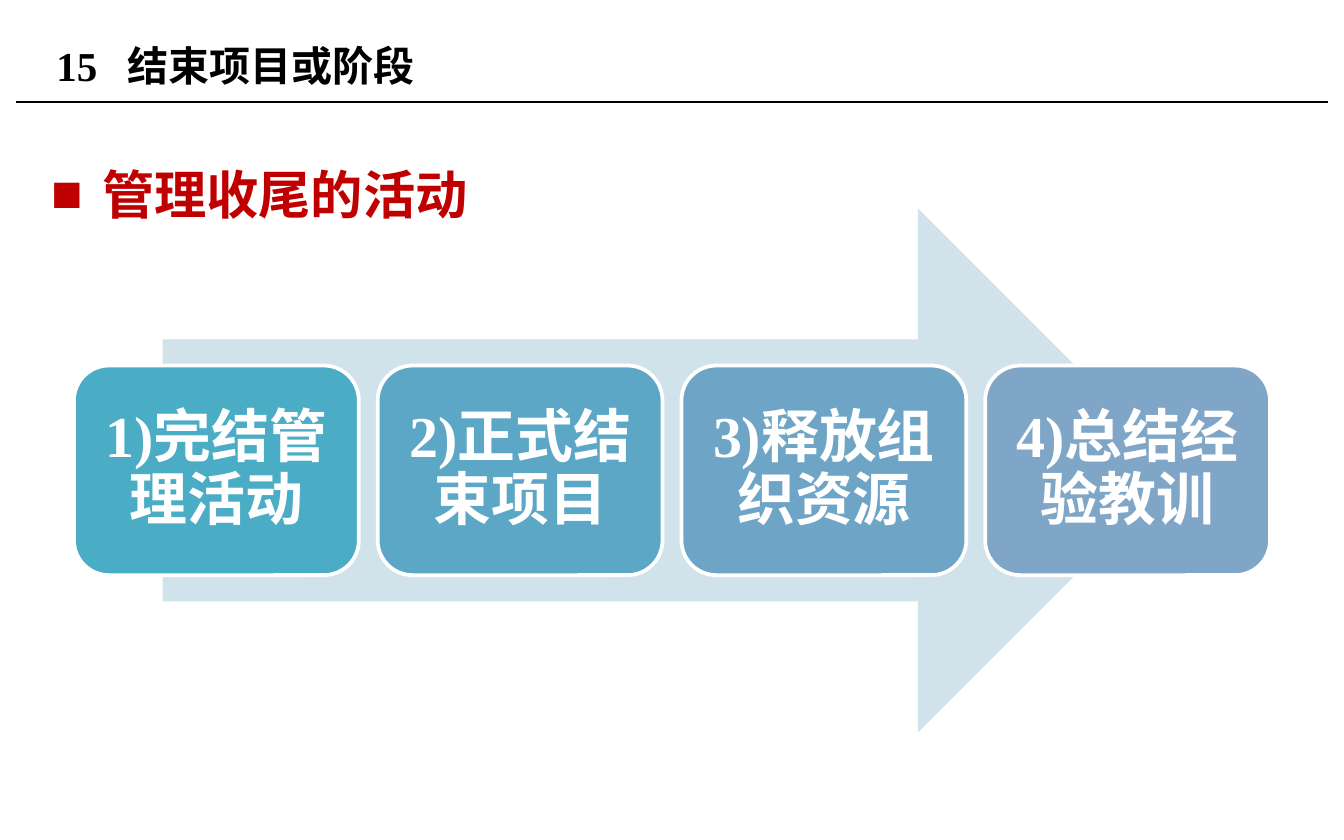
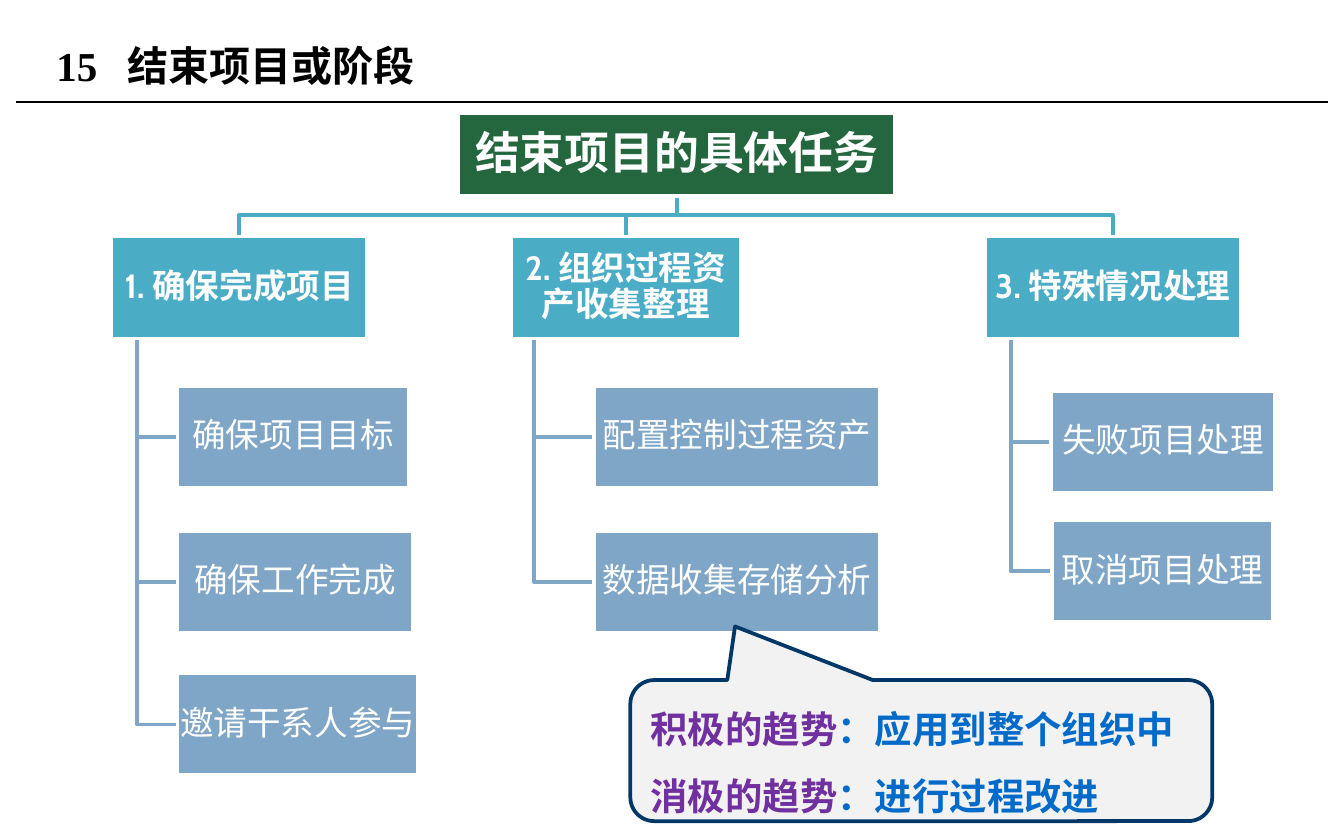
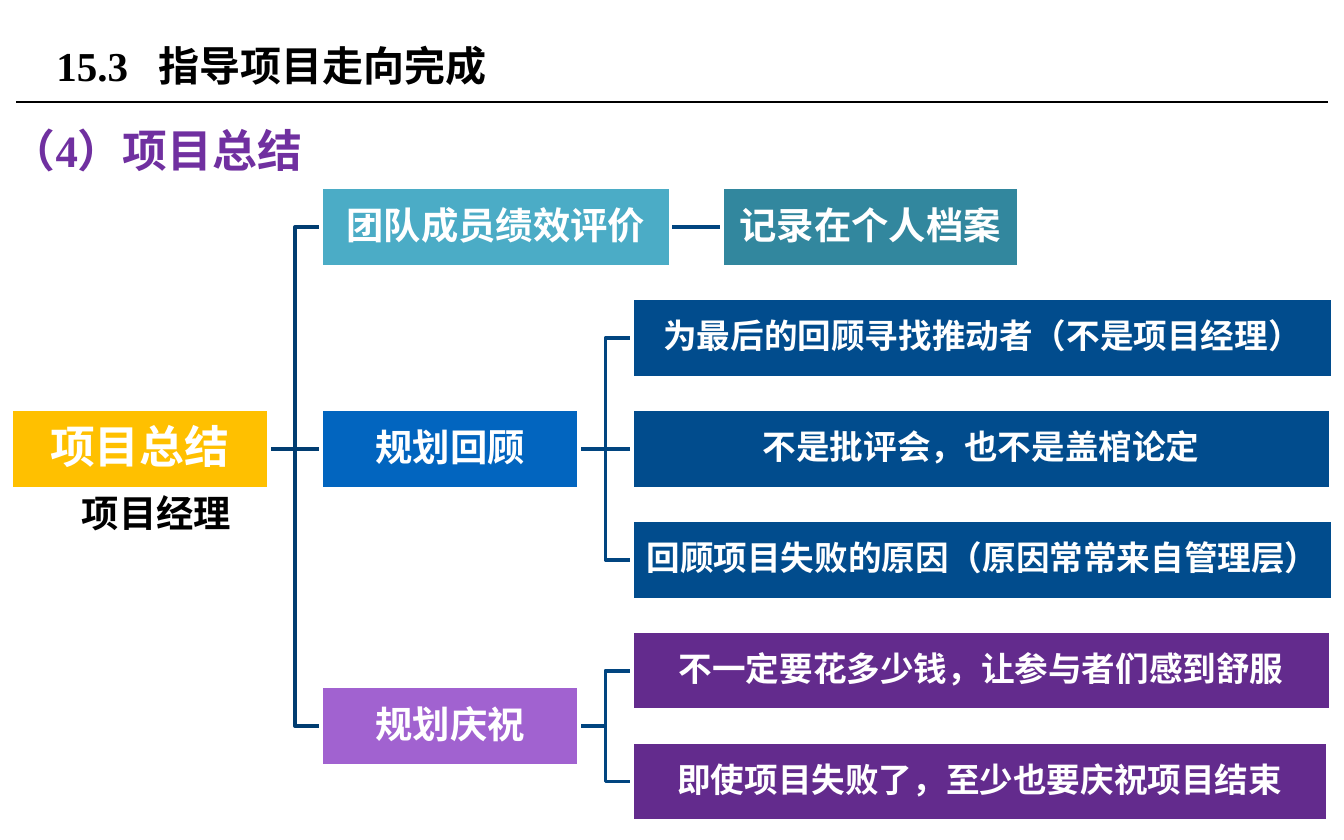
from dataclasses import dataclass
from typing import NamedTuple

from lxml.etree import SubElement
from pptx import Presentation
from pptx.dml.color import RGBColor
from pptx.enum.shapes import MSO_CONNECTOR, MSO_SHAPE
from pptx.enum.text import MSO_ANCHOR, MSO_AUTO_SIZE, PP_ALIGN
from pptx.oxml.ns import qn
from pptx.util import Inches, Pt

# Shared look
SLIDE_WIDTH, SLIDE_HEIGHT = Inches(10), Inches(6.25)
CELL = SLIDE_WIDTH / 100  # square grid: 100 columns by 62.5 rows
SERIF, SANS, CHINESE = "Times New Roman", "Cabin", "Noto Sans CJK SC"
WHITE, BLACK, RED, PURPLE = "FFFFFF", "000000", "C00000", "7030A0"
TEAL, STEEL, GREEN = "4BACC6", "7FA6C7", "24673E"
NAVY, OCEAN, VIOLET, BLUE = "013868", "014C8D", "632B8D", "026BCA"
ROOT_LINK, NODE_LINK = "013D71", "014580"
LINE_WIDTH = 2


class Area(NamedTuple):
    """A place on the grid, in columns and rows."""
    left: float
    top: float
    width: float
    height: float

    @property
    def center(self) -> float:
        return self.left + self.width / 2

    @property
    def middle(self) -> float:
        return self.top + self.height / 2

    @property
    def right(self) -> float:
        return self.left + self.width

    @property
    def bottom(self) -> float:
        return self.top + self.height


class Span(NamedTuple):
    text: str
    color: str
    font: str = SERIF


@dataclass
class Leaf:
    text: str
    area: Area


@dataclass
class Branch:
    text: str
    area: Area
    leaves: list[Leaf]


@dataclass
class Node:
    text: str
    left: float
    width: float
    row: float
    fill: str
    size: int = 18
    font: str = SERIF
    children: tuple["Node", ...] = ()

    @property
    def area(self) -> Area:
        return Area(self.left, 13.95 + 8.25 * self.row, self.width, 5.9)


# Drawing helpers
def grid(value: float) -> int:
    return round(value * CELL)


def place(area: Area) -> list[int]:
    return [grid(value) for value in area]


def paint(target, color: str) -> None:
    """Give a fill a solid colour."""
    target.solid()
    target.fore_color.rgb = RGBColor.from_string(color)


def stroke(line, color: str, width: float = LINE_WIDTH) -> None:
    paint(line.fill, color)
    line.width = Pt(width)


def write(frame, *lines, size, color=WHITE, font=SERIF, bold=True, align=PP_ALIGN.LEFT,
          spacing=1.0, anchor=MSO_ANCHOR.MIDDLE, inset=None, wrap=True,
          fit=MSO_AUTO_SIZE.NONE) -> None:
    """Fill a text frame; each line is a string or a list of spans."""
    frame.word_wrap, frame.auto_size, frame.vertical_anchor = wrap, fit, anchor
    if inset is not None:
        frame.margin_left = frame.margin_right = grid(inset)
        frame.margin_top = frame.margin_bottom = grid(inset)
    for index, line in enumerate(lines):
        para = frame.add_paragraph() if index else frame.paragraphs[0]
        para.alignment, para.line_spacing = align, spacing
        para.space_before = Pt(0)
        for span in [Span(line, color, font)] if isinstance(line, str) else line:
            run = para.add_run()
            run.text = span.text
            run.font.size, run.font.bold, run.font.name = Pt(size), bold, span.font
            paint(run.font.fill, span.color)
            SubElement(run.font._element, qn("a:ea"), typeface=CHINESE)


def add_box(page, area: Area, fill: str, line: str | None = WHITE, kind=MSO_SHAPE.RECTANGLE):
    box = page.shapes.add_shape(kind, *place(area))
    box.shadow.inherit = False
    paint(box.fill, fill)
    if line:
        stroke(box.line, line)
    else:
        box.line.fill.background()
    return box


def add_label(page, text: str, area: Area, fill: str, size: int = 18, font: str = SANS,
              bold: bool = True, inset: float = 0.1, kind=MSO_SHAPE.RECTANGLE) -> None:
    box = add_box(page, area, fill, kind=kind)
    write(box.text_frame, text, size=size, font=font, bold=bold, align=PP_ALIGN.CENTER,
          spacing=0.9, inset=inset)


def add_straight(page, start, end, color: str, width: float = LINE_WIDTH):
    line = page.shapes.add_connector(MSO_CONNECTOR.STRAIGHT, *map(grid, (*start, *end)))
    stroke(line.line, color, width)
    SubElement(line.element.spPr, qn("a:effectLst"))
    return line


def add_bend(page, points, color: str) -> None:
    """Draw an open line with corners."""
    start, *others = [(grid(x), grid(y)) for x, y in points]
    builder = page.shapes.build_freeform(*start)
    builder.add_line_segments(others, close=False)
    bend = builder.convert_to_shape()
    bend.shadow.inherit = False
    bend.fill.background()
    stroke(bend.line, color)


def add_page(deck, layout: int, number: str, heading: str, tab: float):
    page = deck.slides.add_slide(deck.slide_layouts[layout])
    title = page.shapes.title
    title.left, title.top, title.width, title.height = place(Area(3.2, 1.3, 63.8, 7.1))
    properties = title.text_frame.paragraphs[0]._p.get_or_add_pPr()
    tabs = SubElement(properties, qn("a:tabLst"))
    SubElement(tabs, qn("a:tab"), pos=str(grid(tab)), algn="l")
    write(title.text_frame, f"{number}\t{heading}", size=22, color=BLACK)
    return page


def add_master_rule(deck, page) -> None:
    """Put the line under the titles on the master, for every slide."""
    rule = add_straight(page, (1.2, 7.6), (98.8, 7.6), BLACK, 0.75)
    deck.slide_master.shapes.element.append(rule.element)


# Slide 1: closing activities
def build_activities(deck) -> None:
    page = add_page(deck, 1, "15", "结束项目或阶段", 5.3)
    add_master_rule(deck, page)
    body = page.placeholders[1]
    body.left, body.top, body.width, body.height = place(Area(2.8, 9.2, 97.2, 39))
    properties = body.text_frame.paragraphs[0]._p.get_or_add_pPr()
    properties.set("marL", str(grid(3.8)))
    properties.set("indent", str(grid(-3.8)))
    SubElement(properties, qn("a:buFont"), typeface="Arial")
    SubElement(properties, qn("a:buChar"), char="■")
    write(body.text_frame, "管理收尾的活动", size=28, color=RED, spacing=1.5,
          anchor=MSO_ANCHOR.TOP)

    add_box(page, Area(12.1, 15.5, 75.7, 39), "D0E3EA", None, MSO_SHAPE.RIGHT_ARROW)
    steps = [("1)完结管理活动", TEAL), ("2)正式结束项目", "5DA7C6"),
             ("3)释放组织资源", "6EA5C6"), ("4)总结经验教训", STEEL)]
    for index, (text, fill) in enumerate(steps):
        add_label(page, text, Area(5.5 + 22.6 * index, 27.2, 21.2, 15.6), fill, size=31,
                  font=SERIF, inset=1.3, kind=MSO_SHAPE.ROUNDED_RECTANGLE)


# Slide 2: task breakdown
def build_tasks(deck) -> None:
    page = add_page(deck, 5, "15", "结束项目或阶段", 5.3)
    height, header_top, bus = 7.6, 17.6, 16
    root = Area(34.1, 8.4, 32.5, 6.2)
    branches = [
        Branch("1. 确保完成项目", Area(8.3, header_top, 19, height), [
            Leaf("确保项目目标", Area(13.2, 28.7, 17.2, height)),
            Leaf("确保工作完成", Area(13.2, 39.5, 17.5, height)),
            Leaf("邀请干系人参与", Area(13.2, 50.1, 17.9, height))]),
        Branch("2. 组织过程资产收集整理", Area(38, header_top, 17.1, height), [
            Leaf("配置控制过程资产", Area(44.2, 28.7, 21.3, height)),
            Leaf("数据收集存储分析", Area(44.2, 39.5, 21.3, height))]),
        Branch("3. 特殊情况处理", Area(73.3, header_top, 19, height), [
            Leaf("失败项目处理", Area(78.2, 29.1, 16.7, height)),
            Leaf("取消项目处理", Area(78.3, 38.7, 16.4, height))]),
    ]
    for branch in branches:
        head = branch.area
        add_bend(page, [(root.center, root.bottom), (root.center, bus), (head.center, bus),
                        (head.center, head.top)], TEAL)
        trunk = head.left + head.width / 10
        for leaf in branch.leaves:
            add_bend(page, [(trunk, head.bottom), (trunk, leaf.area.middle),
                            (leaf.area.left, leaf.area.middle)], STEEL)

    add_label(page, "结束项目的具体任务", root, GREEN, size=24)
    for branch in branches:
        add_label(page, branch.text, branch.area, TEAL)
        for leaf in branch.leaves:
            add_label(page, leaf.text, leaf.area, STEEL, bold=False)

    callout = add_box(page, Area(46.9, 50.6, 43.3, 10.5), "F2F2F2", NAVY,
                      MSO_SHAPE.ROUNDED_RECTANGULAR_CALLOUT)
    for index, value in enumerate((-0.32, -0.88, 0.17)):
        callout.adjustments[index] = value
    write(callout.text_frame,
          [Span("积极的趋势", PURPLE), Span("：应用到整个组织中", BLUE)],
          [Span("消极的趋势", PURPLE), Span("：进行过程改进", BLUE)],
          size=20, spacing=1.5)


# Slide 3: project summary tree
def draw_tree(page, node: Node, link: str) -> None:
    start = (node.area.right, node.area.middle)
    for child in node.children:
        end = (child.area.left, child.area.middle)
        if child.row == node.row:
            add_straight(page, start, end, link)
        else:
            turn = (start[0] + end[0]) / 2
            add_bend(page, [start, (turn, start[1]), (turn, end[1]), end], link)
    add_label(page, node.text, node.area, node.fill, node.size, node.font)
    for child in node.children:
        draw_tree(page, child, NODE_LINK)


def build_summary(deck) -> None:
    page = add_page(deck, 5, "15.3", "指导项目走向完成", 7.6)
    second, third = 23.9, 47
    tree = Node("项目总结", 0.8, 19.2, 2, "FFC000", 24, SANS, (
        Node("团队成员绩效评价", second, 26, 0, TEAL, 20, children=(
            Node("记录在个人档案", 53.7, 22.1, 0, "32879E", 20),)),
        Node("规划回顾", second, 19.2, 2, "0265BF", 20, children=(
            Node("为最后的回顾寻找推动者（不是项目经理）", third, 52.2, 1, OCEAN),
            Node("不是批评会，也不是盖棺论定", third, 52, 2, OCEAN),
            Node("回顾项目失败的原因（原因常常来自管理层）", third, 52.2, 3, OCEAN))),
        Node("规划庆祝", second, 19.2, 4.5, "A162D0", 20, children=(
            Node("不一定要花多少钱，让参与者们感到舒服", third, 52, 4, VIOLET),
            Node("即使项目失败了，至少也要庆祝项目结束", third, 51.8, 5, VIOLET)))))
    draw_tree(page, tree, ROOT_LINK)

    heading = page.shapes.add_textbox(*place(Area(0.8, 9, 24.8, 4.2)))
    write(heading.text_frame, [Span("（4）", PURPLE), Span("项目总结", PURPLE, CHINESE)],
          size=24, inset=0, fit=MSO_AUTO_SIZE.SHAPE_TO_FIT_TEXT)
    owner = page.shapes.add_textbox(*place(Area(5.1, 36, 13.2, 4.4)))
    write(owner.text_frame, "项目经理", size=20, color=BLACK, font=SANS, wrap=False,
          anchor=MSO_ANCHOR.TOP, fit=MSO_AUTO_SIZE.SHAPE_TO_FIT_TEXT)


def main() -> None:
    deck = Presentation()
    deck.slide_width, deck.slide_height = SLIDE_WIDTH, SLIDE_HEIGHT
    build_activities(deck)
    build_tasks(deck)
    build_summary(deck)
    deck.save("out.pptx")


if __name__ == "__main__":
    main()
